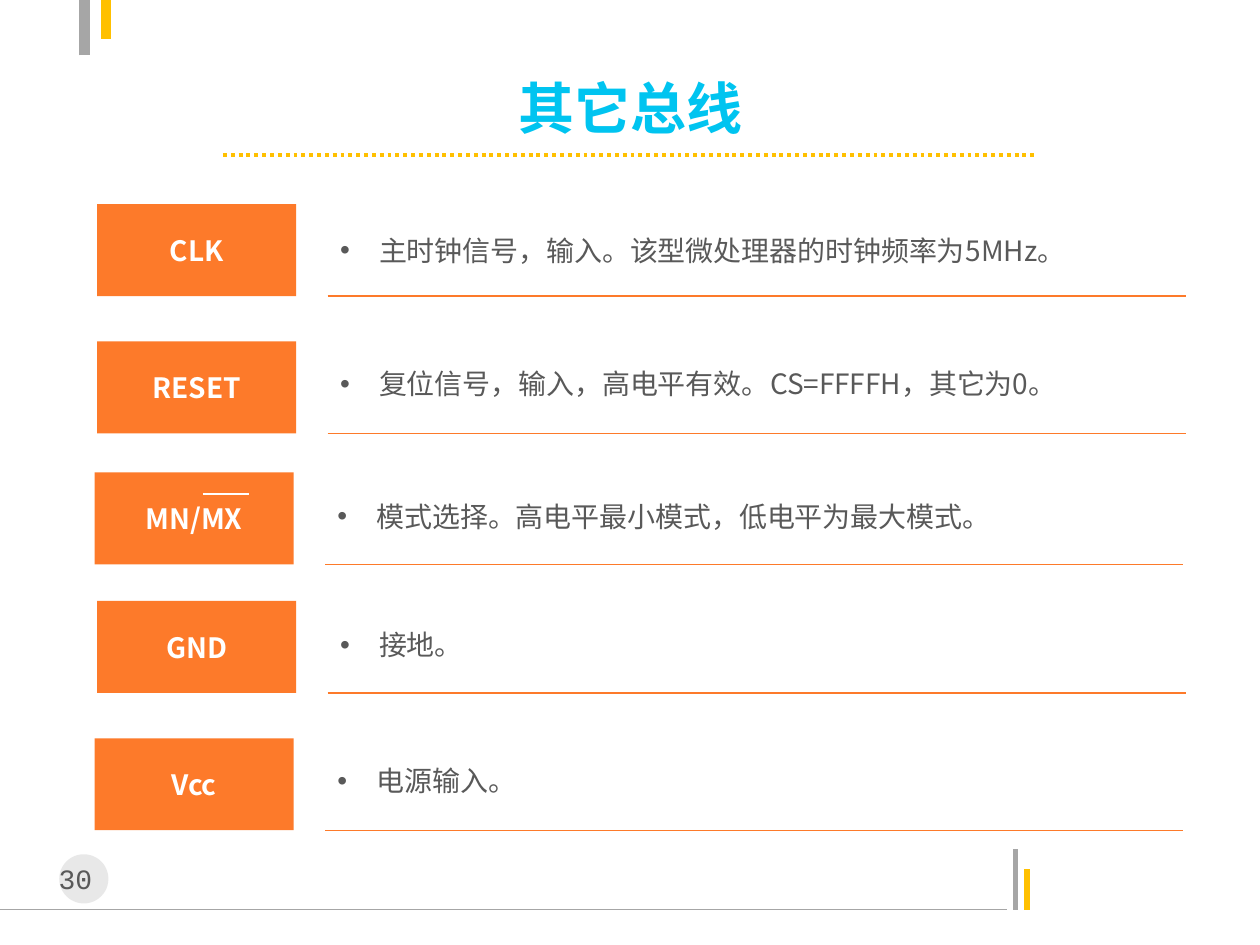
from typing import NamedTuple, Optional

from lxml.etree import SubElement
from pptx import Presentation
from pptx.dml.color import RGBColor
from pptx.enum.dml import MSO_LINE
from pptx.enum.shapes import MSO_CONNECTOR, MSO_SHAPE
from pptx.enum.text import MSO_ANCHOR as ANCHOR, MSO_AUTO_SIZE as FIT, PP_ALIGN as ALIGN
from pptx.oxml.ns import qn
from pptx.util import Inches, Pt

ORANGE = RGBColor(0xFD, 0x7A, 0x2A)
YELLOW = RGBColor(0xFF, 0xC0, 0x00)
CYAN = RGBColor(0x00, 0xC4, 0xF0)
WHITE = RGBColor(0xFF, 0xFF, 0xFF)
TEXT_GREY = RGBColor(0x59, 0x59, 0x59)
LINE_GREY = RGBColor(0xA6, 0xA6, 0xA6)
DISC_GREY = RGBColor(0xBF, 0xBF, 0xBF)
SANS, MONO = "Noto Sans CJK SC", "Courier New"
LABEL_W, LABEL_H = 1.58, 0.73
NOTE_OFFSET, NOTE_W, NOTE_H = 1.83, 6.81, 0.42


class Line(NamedTuple):
    x1: float
    y1: float
    x2: float
    y2: float
    color: RGBColor
    width: float
    dash: Optional[MSO_LINE] = None


class Signal(NamedTuple):
    label: str
    note: str
    left: float
    top: float
    note_top: float


DECOR = [
    Line(0, 7.22, 7.99, 7.22, LINE_GREY, 0.75),
    Line(8.06, 7.22, 8.06, 6.74, LINE_GREY, 3),
    Line(8.15, 7.22, 8.15, 6.9, YELLOW, 3),
    Line(0.67, 0.44, 0.67, 0, LINE_GREY, 6),
    Line(0.84, 0, 0.84, 0.31, YELLOW, 6),
]
TITLE_RULE = Line(1.77, 1.23, 8.23, 1.23, YELLOW, 2.25, MSO_LINE.ROUND_DOT)
MX_OVERBAR = Line(1.61, 3.92, 1.98, 3.92, WHITE, 1.5)
SIGNALS = [
    Signal("CLK", "主时钟信号，输入。该型微处理器的时钟频率为5MHz。", 0.77, 1.62, 1.75),
    Signal("RESET", "复位信号，输入，高电平有效。CS=FFFFH，其它为0。", 0.77, 2.71, 2.81),
    Signal("MN/MX", "模式选择。高电平最小模式，低电平为最大模式。", 0.75, 3.75, 3.86),
    Signal("GND", "接地。", 0.77, 4.77, 4.88),
    Signal("Vcc", "电源输入。", 0.75, 5.86, 5.96),
]


def add_line(s, line: Line) -> None:
    ends = (Inches(v) for v in line[:4])
    sp = s.shapes.add_connector(MSO_CONNECTOR.STRAIGHT, *ends)
    sp.line.color.rgb = line.color
    sp.line.width = Pt(line.width)
    if line.dash is not None:
        sp.line.dash_style = line.dash
    SubElement(sp.element.spPr, qn("a:effectLst"))


def add_block(s, kind, left: float, top: float, width: float, height: float, color: RGBColor):
    sp = s.shapes.add_shape(kind, Inches(left), Inches(top), Inches(width), Inches(height))
    sp.shadow.inherit = False
    sp.fill.solid()
    sp.fill.fore_color.rgb = color
    sp.line.fill.background()
    return sp


def add_box(s, left: float, top: float, width: float, height: float):
    return s.shapes.add_textbox(Inches(left), Inches(top), Inches(width), Inches(height))


def write(sp, text: str, *, color: RGBColor, size: float = 16, font: str = SANS,
          bold: bool = False, align=ALIGN.CENTER, anchor=ANCHOR.MIDDLE, wrap: bool = True,
          fit=FIT.NONE, bullet: bool = False) -> None:
    tf = sp.text_frame
    tf.word_wrap, tf.auto_size, tf.vertical_anchor = wrap, fit, anchor
    p = tf.paragraphs[0]
    p.alignment = align
    if bullet:
        p.line_spacing = 1.2
        pPr = p._p.get_or_add_pPr()
        pPr.set("marL", str(Inches(0.31)))
        pPr.set("indent", str(-Inches(0.31)))
        SubElement(pPr, qn("a:buFont"), typeface="Arial")
        SubElement(pPr, qn("a:buChar"), char="•")
    r = p.add_run()
    r.text = text
    r.font.name, r.font.size, r.font.bold = font, Pt(size), bold
    r.font.color.rgb = color
    SubElement(r._r.get_or_add_rPr(), qn("a:ea"), typeface=font)


def add_signal(s, signal: Signal) -> None:
    label = add_block(s, MSO_SHAPE.RECTANGLE, signal.left, signal.top, LABEL_W, LABEL_H, ORANGE)
    write(label, signal.label, color=WHITE, bold=True)
    x, y = signal.left + NOTE_OFFSET, signal.top + LABEL_H
    add_line(s, Line(x, y, x + NOTE_W, y, ORANGE, 0.75))
    write(add_box(s, x, signal.note_top, NOTE_W, NOTE_H), signal.note, color=TEXT_GREY,
          align=ALIGN.LEFT, anchor=ANCHOR.TOP, fit=FIT.SHAPE_TO_FIT_TEXT, bullet=True)


def main() -> None:
    """Build the slide on the remaining bus signals."""
    prs = Presentation()
    prs.slide_width, prs.slide_height = Inches(10), Inches(7.5)
    s = prs.slides.add_slide(prs.slide_layouts[6])
    for line in DECOR:
        add_line(s, line)
    disc = add_block(s, MSO_SHAPE.OVAL, 0.47, 6.78, 0.39, 0.39, DISC_GREY)
    SubElement(disc.element.spPr.find(".//" + qn("a:srgbClr")), qn("a:alpha"), val="35000")
    write(add_box(s, 0.31, 6.79, 0.71, 0.37), "30 ", color=TEXT_GREY, font=MONO,
          anchor=ANCHOR.TOP, fit=FIT.SHAPE_TO_FIT_TEXT)
    write(add_box(s, 1.38, 0.6, 7.25, 0.5), "其它总线", color=CYAN, size=32, bold=True, wrap=False)
    add_line(s, TITLE_RULE)
    for signal in SIGNALS:
        add_signal(s, signal)
    add_line(s, MX_OVERBAR)
    prs.save("out.pptx")


if __name__ == "__main__":
    main()
